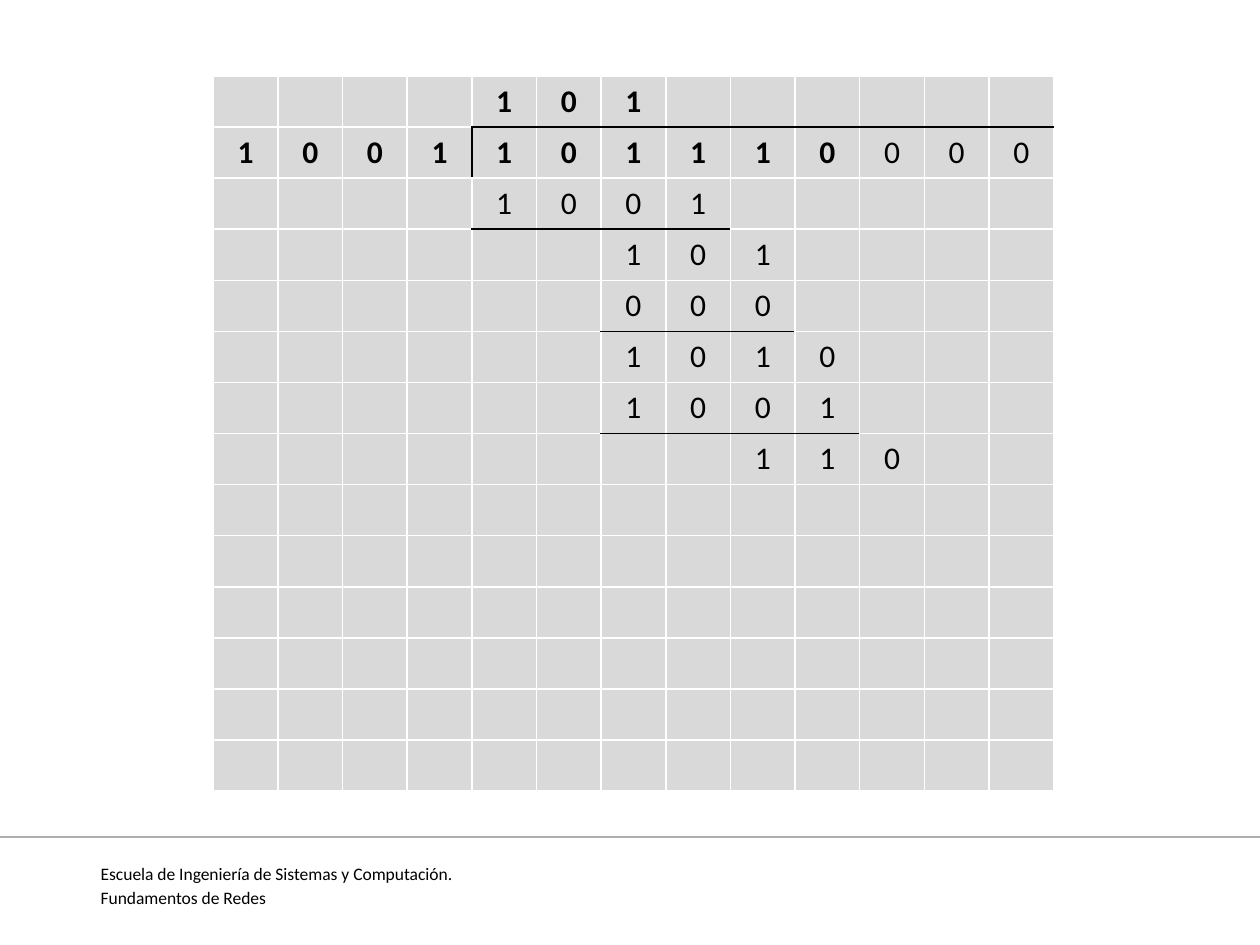
from lxml.etree import SubElement as Sub
from pptx import Presentation
from pptx.dml.color import RGBColor
from pptx.enum.shapes import MSO_CONNECTOR as Conn
from pptx.enum.text import PP_ALIGN as Align
from pptx.oxml.ns import qn
from pptx.util import Cm, Pt

BLACK, WHITE, GRAY, RULE = "000000", "FFFFFF", "D9D9D9", "AEAEAE"
ROWS, COLS = 14, 13

# Long division: first column and digits of each row
DIGITS = [(4, "101"), (0, "1001101110000"), (4, "1001"), (6, "101"),
          (6, "000"), (6, "1010"), (6, "1001"), (8, "110")]
# Black rule below a row: first and last column
RULES = {0: (4, 12), 2: (4, 7), 4: (6, 8), 6: (6, 9)}
BAR = (1, 4)    # cell to the right of the divisor bar
PAD = 10        # first column of the appended zeros


def color(code):
    return RGBColor.from_string(code)


def write(para, text, align, size, bold=False):
    para.alignment = align
    run = para.add_run()
    run.text = text
    form = {"name": "Calibri", "size": Pt(size), "bold": bold}
    for key, value in form.items():
        setattr(run.font, key, value)
    run.font.color.rgb = color(BLACK)


def ruled(row, col):
    """Tell whether a black rule runs below this cell."""
    first, last = RULES.get(row, (COLS, 0))
    return first <= col <= last


def edge(cell, row, col):
    black = {"lnL": (row, col) == BAR,
             "lnR": (row, col + 1) == BAR,
             "lnT": ruled(row - 1, col),
             "lnB": ruled(row, col)}
    props = cell._tc.get_or_add_tcPr()
    for side, dark in black.items():
        line = Sub(props, qn(f"a:{side}"), w=str(Pt(1)))
        fill = Sub(line, qn("a:solidFill"))
        Sub(fill, qn("a:srgbClr"), val=BLACK if dark else WHITE)


def division(slide, left, top, width, height):
    frame = slide.shapes.add_table(ROWS, COLS, left, top, width, height)
    table = frame.table
    table.first_row = table.horz_banding = False
    for col in table.columns:
        col.width = width // COLS
    for row in table.rows:
        row.height = height // ROWS

    # Grid
    for row in range(ROWS):
        for col in range(COLS):
            cell = table.cell(row, col)
            edge(cell, row, col)
            cell.fill.solid()
            cell.fill.fore_color.rgb = color(GRAY)

    # Digits
    for row, (start, digits) in enumerate(DIGITS):
        for col, digit in enumerate(digits, start):
            para = table.cell(row, col).text_frame.paragraphs[0]
            write(para, digit, Align.CENTER, 18, row < 2 and col < PAD)


def footer(slide, left, top, width, height):
    # Rule across the page
    line = slide.shapes.add_connector(Conn.STRAIGHT, left, top, left + width, top)
    line.line.color.rgb = color(RULE)
    line.line.width = Pt(0.75)
    Sub(line._element.spPr, qn("a:effectLst"))

    # Course lines
    box = slide.shapes.add_textbox(left + Cm(1.78), top + Cm(0.4),
                                   Cm(22.8), height - Cm(1.2))
    frame = box.text_frame
    frame.word_wrap = True
    texts = ["Escuela de Ingeniería de Sistemas y Computación.",
             "Fundamentos de Redes"]
    for i, text in enumerate(texts):
        para = frame.add_paragraph() if i else frame.paragraphs[0]
        para.space_before = Pt(2)
        write(para, text, Align.JUSTIFY, 10)


def main():
    deck = Presentation()
    deck.slide_width, deck.slide_height = Cm(25.4), Cm(19.05)
    slide = deck.slides.add_slide(deck.slide_layouts[6])
    footer(slide, Cm(0), Cm(16.87), Cm(25.4), Cm(2.18))
    division(slide, Cm(4.3), Cm(1.53), Cm(16.94), Cm(14.42))
    deck.save("out.pptx")


if __name__ == "__main__":
    main()
